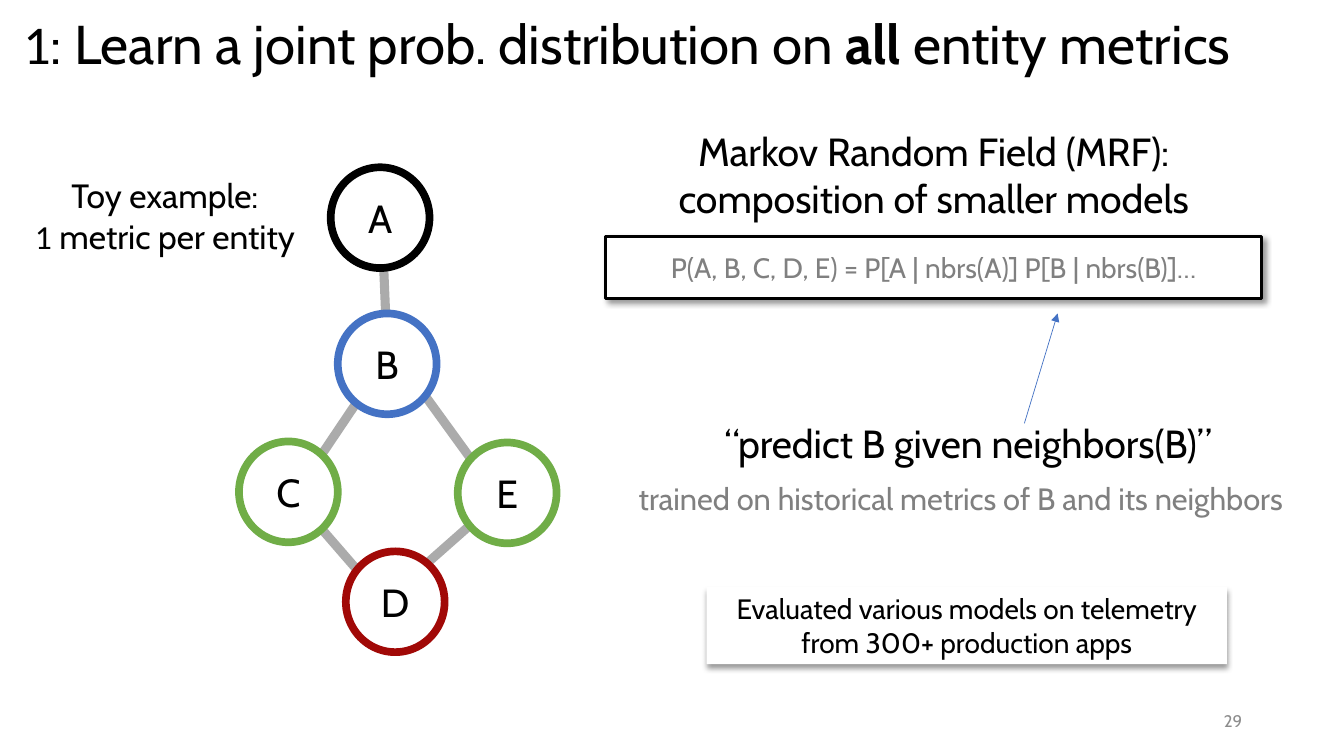
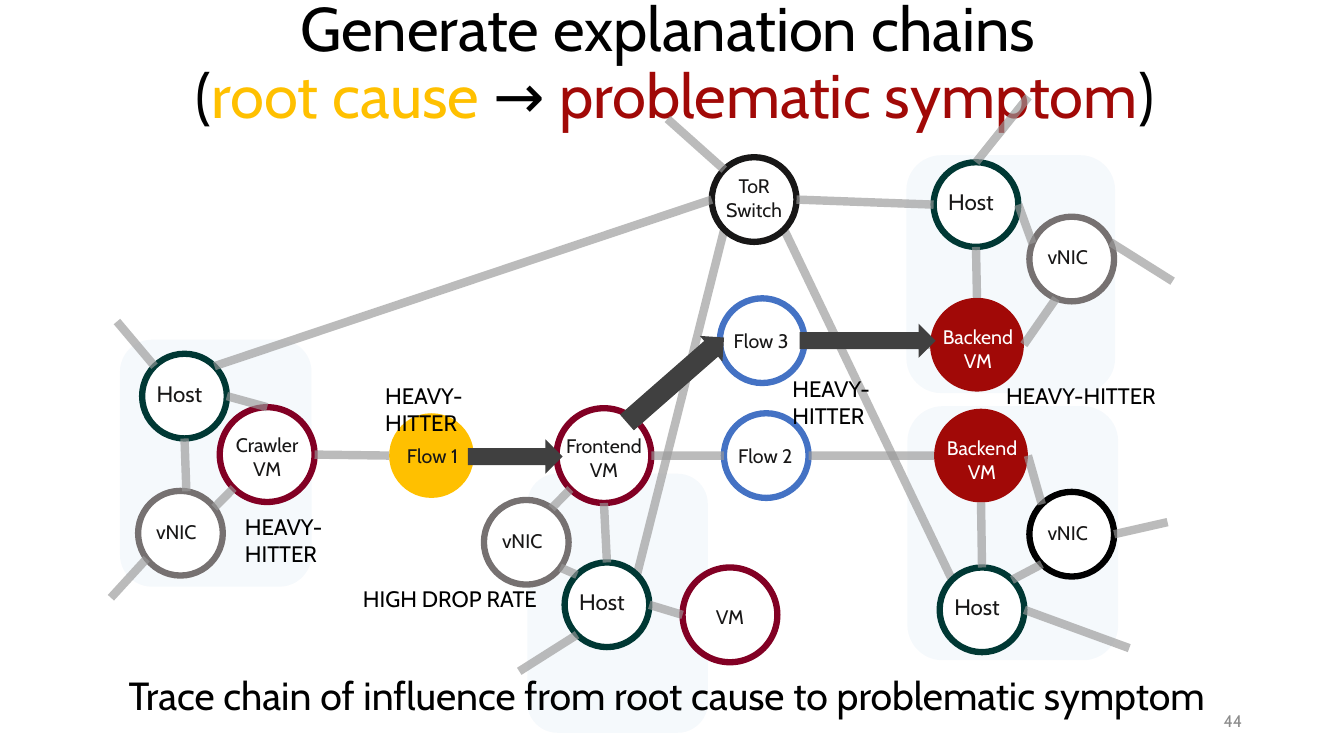
import math
from dataclasses import dataclass

import pptx
import pptx.dml.color
import pptx.enum.shapes
import pptx.enum.text
import pptx.oxml
import pptx.oxml.ns
import pptx.util
from lxml import etree

Inches, Pt = pptx.util.Inches, pptx.util.Pt
RGB = pptx.dml.color.RGBColor.from_string
SHAPE = pptx.enum.shapes.MSO_SHAPE
ALIGN = pptx.enum.text.PP_ALIGN
ANCHOR = pptx.enum.text.MSO_ANCHOR
qn = pptx.oxml.ns.qn


@dataclass(frozen=True)
class Theme:
    font: str = "Cabin"
    digit_font: str = "Calibri"
    black: str = "000000"
    white: str = "FFFFFF"
    ink: str = "181717"
    grey: str = "808080"
    page_grey: str = "8C8C8C"
    link_grey: str = "999999"
    nic_grey: str = "767171"
    arrow_grey: str = "404040"
    blue: str = "4472C4"
    zone_blue: str = "0070C0"
    green: str = "70AD47"
    teal: str = "003834"
    wine: str = "820024"
    red: str = "A10907"
    gold: str = "FFC000"
    chain_title: int = 44
    joint_title: int = 39
    large: int = 28
    medium: int = 24
    detail: int = 22
    body: int = 20
    label: int = 16
    small: int = 14
    page: int = 12


T = Theme()

# Unit directions of the eight points on a circle, in degrees
COMPASS = {d: 45 * i for i, d in enumerate(["e", "ne", "n", "nw", "w", "sw", "s", "se"])}

# Kinds of network node: size, outline, fill, text colour, text size, label nudge
KINDS = {
    "host": (0.84, T.teal, T.white, T.ink, T.label, (-0.05, -0.03)),
    "nic": (0.84, T.nic_grey, T.white, T.ink, T.small, (-0.04, -0.02)),
    "nic_black": (0.84, T.black, T.white, T.ink, T.small, (-0.04, -0.02)),
    "switch": (0.84, T.ink, T.white, T.ink, T.small, (0, -0.02)),
    "flow": (0.84, T.blue, T.white, T.ink, T.small, (-0.01, 0)),
    "cause": (0.84, None, T.gold, T.ink, T.small, (0.01, 0)),
    "vm": (0.94, T.wine, T.white, T.ink, T.small, (0, 0.02)),
    "symptom": (0.93, None, T.red, T.white, T.small, (0.01, 0.04)),
}


# ---- Shared helpers ----
def write(tf, paras, size, color=T.black, align=ALIGN.CENTER, anchor=ANCHOR.TOP,
          spacing=None, wrap=True, inset=None):
    """Fill a frame; a paragraph is a string or a list of (text, format) runs."""
    frame = {"word_wrap": wrap, "vertical_anchor": anchor}
    if inset is not None:
        frame.update({f"margin_{m}": Inches(inset) for m in ("left", "right", "top", "bottom")})
    for name, value in frame.items():
        setattr(tf, name, value)
    for i, runs in enumerate(paras):
        p = tf.add_paragraph() if i else tf.paragraphs[0]
        p.alignment, p.line_spacing = align, spacing
        for text, fmt in [(runs, {})] if isinstance(runs, str) else runs:
            look = {"name": T.font, "size": Pt(size), "color": color} | fmt
            for j, line in enumerate(text.split("\n")):
                if j:
                    p.add_line_break()
                r = p.add_run()
                r.text = line
                for name, value in look.items():
                    if name == "color":
                        r.font.color.rgb = RGB(value)
                    else:
                        setattr(r.font, name, value)


def add_text(s, box, paras, size, **style):
    sp = s.shapes.add_textbox(*map(Inches, box))
    write(sp.text_frame, paras, size, **style)
    return sp


def set_alpha(fmt_element, percent):
    clr = next(fmt_element.iter(qn("a:srgbClr")))
    etree.SubElement(clr, qn("a:alpha"), val=str(percent * 1000))


def add_shape(s, kind, box, fill, line=None, width=1, alpha=None):
    sp = s.shapes.add_shape(kind, *map(Inches, box))
    sp.shadow.inherit = False
    sp.fill.solid()
    sp.fill.fore_color.rgb = RGB(fill)
    if alpha:
        set_alpha(sp._element.spPr, alpha)
    if line:
        sp.line.color.rgb, sp.line.width = RGB(line), Pt(width)
    else:
        sp.line.fill.background()
    return sp


def add_circle(s, cx, cy, w, h, fill, line, width):
    return add_shape(s, SHAPE.OVAL, (cx - w / 2, cy - h / 2, w, h), fill, line, width)


def cast_shadow(sp, angle):
    effects = sp._element.spPr.find(qn("a:effectLst"))
    shadow = etree.SubElement(effects, qn("a:outerShdw"), blurRad=str(Pt(4)), dist=str(Pt(3)),
                              dir=str(angle * 60000), algn="t", rotWithShape="0")
    etree.SubElement(shadow, qn("a:srgbClr"), val=T.black)
    set_alpha(shadow, 40)


def add_line(s, start, end, color, width, alpha=None, arrow=False):
    line = s.shapes.add_connector(pptx.enum.shapes.MSO_CONNECTOR.STRAIGHT,
                                  *map(Inches, (*start, *end)))
    line.line.color.rgb, line.line.width = RGB(color), Pt(width)
    ln = line.line._get_or_add_ln()
    if alpha:
        set_alpha(ln, alpha)
    if arrow:
        etree.SubElement(ln, qn("a:tailEnd"), type="triangle")
    etree.SubElement(line._element.spPr, qn("a:effectLst"))


def add_base(prs, title, box, size, align, number):
    """A blank slide with its title and page number."""
    s = prs.slides.add_slide(prs.slide_layouts[6])
    add_text(s, box, [title], size, align=align, anchor=ANCHOR.MIDDLE, spacing=0.9)
    add_text(s, (9.42, 6.95, 3, 0.4), [str(number)], T.page, color=T.page_grey,
             align=ALIGN.RIGHT, anchor=ANCHOR.MIDDLE)
    return s


# ---- Slide 1: joint distribution ----
def draw_toy_graph(s, x, y):
    links = [((1.83, 1.74), (1.8, 1.02)), ((2.19, 2.39), (2.77, 3.19)),
             ((1.56, 2.46), (1.17, 3.04)), ((2.12, 4.19), (2.72, 3.66)),
             ((1.53, 4.14), (1.14, 3.69))]
    for (x1, y1), (x2, y2) in links:
        add_line(s, (x + x1, y + y1), (x + x2, y + y2), T.grey, 6.5, alpha=65)
    entities = [("A", 1.77, 0.66, T.black), ("B", 1.84, 2.11, T.blue),
                ("C", 0.86, 3.38, T.green), ("E", 3.03, 3.39, T.green),
                ("D", 1.92, 4.47, T.red)]
    for name, cx, cy, color in entities:
        sp = add_circle(s, x + cx, y + cy, 0.98, 1, T.white, color, 5.5)
        write(sp.text_frame, [name], T.large, anchor=ANCHOR.MIDDLE)


def draw_model(s, x, y):
    add_text(s, (x + 0.45, y, 5.6, 1.01),
             ["Markov Random Field (MRF): composition of smaller models"], T.large)
    formula = add_shape(s, SHAPE.RECTANGLE, (x, y + 1.14, 6.5, 0.61), T.white, T.black, 2.25)
    cast_shadow(formula, 45)
    write(formula.text_frame, ["P(A, B, C, D, E) = P[A | nbrs(A)] P[B | nbrs(B)]…"],
          T.body, color=T.grey, anchor=ANCHOR.MIDDLE)
    add_text(s, (x + 0.28, y + 2.9, 6.62, 1.01), ["“predict B given neighbors(B)”"], T.large)
    add_text(s, (x + 0.14, y + 3.5, 6.76, 1.01),
             ["trained on historical metrics of B and its neighbors"], T.detail, color=T.grey)
    add_line(s, (x + 4.15, y + 2.99), (x + 4.48, y + 1.9), T.blue, 0.5, arrow=True)
    note = add_shape(s, SHAPE.RECTANGLE, (x + 1, y + 4.61, 5.16, 0.77), T.white)
    cast_shadow(note, 90)
    write(note.text_frame,
          ["Evaluated various models on telemetry from 300+ production apps"], T.body)


def build_joint_slide(prs):
    digit = {"name": T.digit_font}
    title = [("1", digit), (": Learn a joint prob. distribution on ", {}),
             ("all", {"bold": True}), (" entity metrics", {})]
    s = add_base(prs, title, (0.13, -0.02, 13.15, 0.97), T.joint_title, ALIGN.LEFT, 29)
    add_text(s, (0.13, 1.69, 3.01, 0.91),
             ["Toy example:", [("1", digit), (" metric per entity", {})]], T.medium)
    draw_toy_graph(s, 2, 1.5)
    draw_model(s, 6.01, 1.21)


# ---- Slide 2: explanation chains ----
def draw_network(s, x, y):
    # Machine zones
    for zx, zy, w, h in [(8, 3.03, 2.09, 2.52), (7.99, 0.54, 2.07, 2.36),
                         (4.23, 3.7, 1.79, 2.57), (0.19, 2.37, 1.9, 2.45)]:
        add_shape(s, SHAPE.ROUNDED_RECTANGLE, (x + zx, y + zy, w, h), T.zone_blue, alpha=4)

    # Nodes: kind, label, centre, turn of the link points in degrees
    nodes = {
        "tor": ("switch", "ToR\nSwitch", 6.48, 0.98, 0),
        "host_left": ("host", "Host", 0.83, 2.93, 0),
        "host_top": ("host", "Host", 8.68, 1.03, 0),
        "host_mid": ("host", "Host", 5.02, 5, 0),
        "host_low": ("host", "Host", 8.74, 5.05, 0),
        "nic_left": ("nic", "vNIC", 0.79, 4.29, -8),
        "nic_mid": ("nic", "vNIC", 4.22, 4.38, -351.7),
        "nic_top": ("nic", "vNIC", 9.63, 1.57, 23.3),
        "nic_low": ("nic_black", "vNIC", 9.63, 4.3, 0),
        "crawler": ("vm", "Crawler\nVM", 1.65, 3.51, 0),
        "frontend": ("vm", "Frontend\nVM", 4.99, 3.52, 0),
        "vm": ("vm", "VM", 6.24, 5.1, 0),
        "flow1": ("cause", "Flow 1", 3.28, 3.52, 0),
        "flow2": ("flow", "Flow 2", 6.6, 3.52, 0),
        "flow3": ("flow", "Flow 3", 6.56, 2.38, 0),
        "backend_top": ("symptom", "Backend\nVM", 8.69, 2.42, 0),
        "backend_low": ("symptom", "Backend\nVM", 8.73, 3.52, 0),
    }

    def site(spot):
        name, side = spot.split(".")
        kind, _, cx, cy, turn = nodes[name]
        angle, radius = math.radians(COMPASS[side] + turn), KINDS[kind][0] / 2
        return x + cx + radius * math.cos(angle), y + cy - radius * math.sin(angle)

    def link(pairs):
        for pair in pairs.split(","):
            a, b = pair.split()
            add_line(s, site(a), site(b), T.link_grey, 6, alpha=65)

    # Links that run behind the nodes
    link("host_low.nw tor.se, host_mid.ne tor.sw")

    for kind, _, cx, cy, _ in nodes.values():
        size, line, fill = KINDS[kind][:3]
        add_circle(s, x + cx, y + cy, size, size, fill, line, 4.5)

    link("nic_left.ne crawler.sw, host_left.e crawler.n, host_left.s nic_left.n,"
         "host_left.ne tor.w, crawler.e flow1.w, flow1.e frontend.w, frontend.e flow2.w,"
         "flow2.e backend_low.w, frontend.ne flow3.w, flow3.e backend_top.w,"
         "nic_mid.ne frontend.sw, host_mid.nw nic_mid.se, host_mid.n frontend.s,"
         "host_mid.e vm.w, host_top.w tor.e, host_top.e nic_top.nw,"
         "host_top.s backend_top.n, backend_top.e nic_top.sw, backend_low.s host_low.n,"
         "backend_low.e nic_low.nw, nic_low.sw host_low.ne")

    # Open ends that leave the drawn part of the network
    for spot, ex, ey in [("tor.nw", 5.62, 0.18), ("host_top.n", 9.2, -0.04),
                         ("host_low.e", 10.2, 5.43), ("host_mid.sw", 4.15, 5.66),
                         ("host_left.nw", 0.16, 2.19), ("nic_left.sw", 0.1, 4.93),
                         ("nic_low.e", 10.58, 4.18), ("nic_top.e", 10.63, 1.79)]:
        add_line(s, site(spot), (x + ex, y + ey), T.link_grey, 6, alpha=65)

    for kind, text, cx, cy, _ in nodes.values():
        color, size, (dx, dy) = KINDS[kind][3:]
        add_text(s, (x + cx + dx - 0.4, y + cy + dy - 0.26, 0.8, 0.52), [text], size,
                 color=color, anchor=ANCHOR.MIDDLE, wrap=False, inset=0)


def draw_chain(s, x, y):
    for text, tx, ty, w in [("HEAVY-HITTER", 2.82, 2.79, 1.47),
                            ("HEAVY-HITTER", 1.43, 4.09, 1.47),
                            ("HEAVY-HITTER", 6.86, 2.72, 1.12),
                            ("HIGH DROP RATE", 2.6, 4.8, 1.76),
                            ("HEAVY-HITTER", 8.98, 2.79, 2.32)]:
        add_text(s, (x + tx, y + ty, w, 0.31), [text], T.label, align=ALIGN.LEFT, inset=0)
    for ax, ay, w, turn, shaft in [(3.64, 3.36, 0.94, 0, 0.5), (5.06, 2.6, 1.28, -41.2, 0.61),
                                   (6.93, 2.21, 1.35, 0, 0.5)]:
        sp = add_shape(s, SHAPE.RIGHT_ARROW, (x + ax, y + ay, w, 0.34), T.arrow_grey)
        sp.rotation, sp.adjustments[0] = turn, shaft


def build_chain_slide(prs):
    title = [("Generate explanation chains \n(", {}), ("root cause ", {"color": T.gold}),
             ("→ ", {}), ("problematic symptom", {"color": T.red}), (")", {})]
    s = add_base(prs, title, (0.53, -0.09, 12.33, 1.47), T.chain_title, ALIGN.CENTER, 44)
    draw_network(s, 1, 1)
    draw_chain(s, 1, 1)
    add_text(s, (0.81, 6.66, 11.6, 0.4),
             ["Trace chain of influence from root cause to problematic symptom"],
             T.large, inset=0)


def main():
    prs = pptx.Presentation()
    prs.slide_width, prs.slide_height = Inches(13.33), Inches(7.5)
    build_joint_slide(prs)
    build_chain_slide(prs)
    prs.save("out.pptx")


if __name__ == "__main__":
    main()
